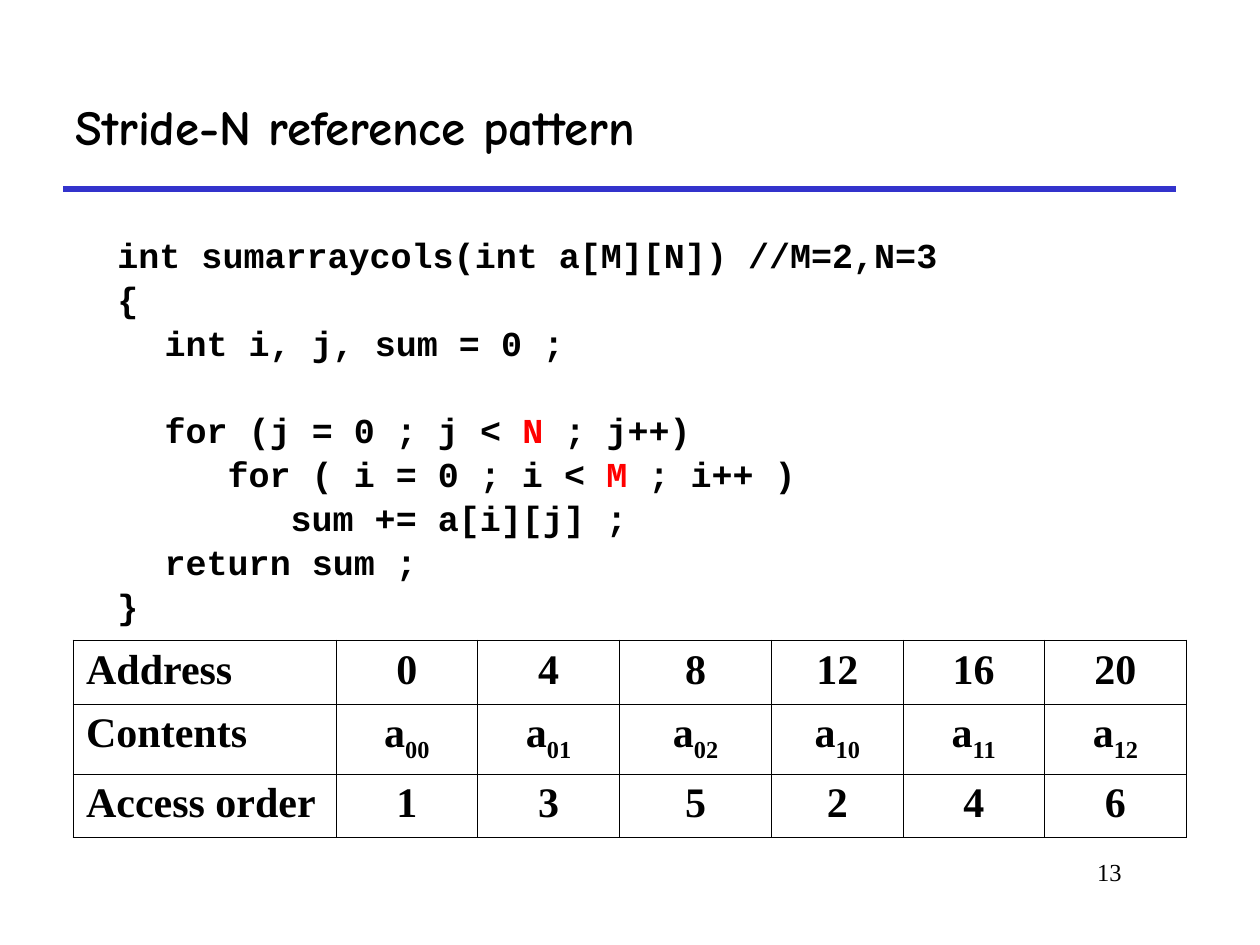
from dataclasses import dataclass

from lxml import etree
from pptx import Presentation
from pptx import util as u
from pptx.dml.color import RGBColor
from pptx.enum import shapes, text
from pptx.oxml.ns import qn

Pt = u.Pt
COLORS = {"ink": "000000", "rule": "3333CC", "bound": "FF0000"}
SERIF, MONO, HAND = "Times New Roman", "Courier New", "Comic Neue"
LEFT, CENTER, RIGHT = (text.PP_ALIGN.LEFT, text.PP_ALIGN.CENTER,
                       text.PP_ALIGN.RIGHT)


@dataclass
class CodeLine:
    before: str
    bound: str = ""
    after: str = ""
    gap: float = 6


@dataclass
class Row:
    label: str
    values: list[str]
    height: float


CODE = [
    CodeLine("int sumarraycols(int a[M][N]) //M=2,N=3", gap=0),
    CodeLine("{"),
    CodeLine("\tint i, j, sum = 0 ;"),
    CodeLine("\tfor (j = 0 ; j < ", "N", " ; j++)", gap=30.2),
    CodeLine("\t\tfor ( i = 0 ; i < ", "M", " ; i++ )"),
    CodeLine("\t\t\tsum += a[i][j] ;"),
    CodeLine("\treturn sum ;"),
    CodeLine("}"),
]
ROWS = [
    Row("Address", [str(4 * k) for k in range(6)], 36.3),
    # An underscore starts the subscript
    Row("Contents", [f"a_{i}{j}" for i in range(2) for j in range(3)], 40),
    Row("Access order", ["1", "3", "5", "2", "4", "6"], 36.3),
]
COLUMNS = [150, 81, 81, 87, 75, 81, 81]


def add_text(p, content: str, *, font: str, size: float, color: str = "ink",
             bold: bool = False, subscript: bool = False) -> None:
    r = p.add_run()
    r.text = content
    r.font.name, r.font.size, r.font.bold = font, Pt(size), bold
    r.font.color.rgb = RGBColor.from_string(COLORS[color])
    if subscript:
        r.font._element.set("baseline", "-25000")


def add_code_line(p, line: CodeLine) -> None:
    p.space_before = Pt(line.gap)
    pPr = p._p.get_or_add_pPr()
    pPr.set("marL", str(Pt(27)))
    pPr.set("indent", str(Pt(-27)))
    tabs = etree.SubElement(pPr, qn("a:tabLst"))
    for k in range(8):
        etree.SubElement(tabs, qn("a:tab"), pos=str(Pt(72 * k)), algn="l")
    parts = [(line.before, "ink"), (line.bound, "bound"), (line.after, "ink")]
    for content, color in parts:
        if content:
            add_text(p, content, font=MONO, size=20, color=color, bold=True)


def set_borders(cell, widths: dict[str, float]) -> None:
    tcPr = cell._tc.get_or_add_tcPr()
    for k, (side, width) in enumerate(widths.items()):
        ln = etree.Element(qn(f"a:{side}"), w=str(Pt(width)))
        fill = etree.SubElement(ln, qn("a:solidFill"))
        etree.SubElement(fill, qn("a:srgbClr"), val=COLORS["ink"])
        tcPr.insert(k, ln)


def add_access_table(slide, rows: list[Row]) -> None:
    frame = slide.shapes.add_table(len(rows), len(COLUMNS), Pt(42), Pt(366),
                                   Pt(sum(COLUMNS)),
                                   Pt(sum(row.height for row in rows)))
    table = frame.table
    table.first_row = table.horz_banding = False
    for column, width in zip(table.columns, COLUMNS):
        column.width = Pt(width)
    inner, outer = 0.45, 1.08
    last_row, last_col = len(rows) - 1, len(COLUMNS) - 1
    for i, row in enumerate(rows):
        table.rows[i].height = Pt(row.height)
        for j, content in enumerate([row.label, *row.values]):
            cell = table.cell(i, j)
            cell.fill.background()
            p = cell.text_frame.paragraphs[0]
            p.alignment = CENTER if j else LEFT
            base, _, sub = content.partition("_")
            add_text(p, base, font=SERIF, size=24, bold=True)
            if sub:
                add_text(p, sub, font=SERIF, size=24, bold=True,
                         subscript=True)
            set_borders(cell, {
                "lnL": inner if j else outer,
                "lnR": outer if j == last_col else inner,
                "lnT": inner if i else outer,
                "lnB": outer if i == last_row else inner,
            })


def main() -> None:
    prs = Presentation()
    prs.slide_width, prs.slide_height = Pt(720), Pt(540)
    slide = prs.slides.add_slide(prs.slide_layouts[5])

    # Title and the rule below it
    sp = slide.shapes.title
    sp.left, sp.top, sp.width, sp.height = Pt(36), Pt(36), Pt(636), Pt(72)
    tf = sp.text_frame
    tf.vertical_anchor = text.MSO_ANCHOR.MIDDLE
    p = tf.paragraphs[0]
    p.alignment = LEFT
    add_text(p, "Stride-N reference pattern", font=HAND, size=28, bold=True)

    rule = slide.shapes.add_connector(shapes.MSO_CONNECTOR.STRAIGHT,
                                      Pt(36), Pt(108), Pt(672), Pt(108))
    rule.line.color.rgb = RGBColor.from_string(COLORS["rule"])
    rule.line.width = Pt(3)
    etree.SubElement(rule._element.spPr, qn("a:effectLst"))

    # Code listing
    sp = slide.shapes.add_textbox(Pt(60), Pt(126), Pt(624), Pt(228))
    tf = sp.text_frame
    tf.word_wrap = True
    tf.margin_top = Pt(7.2)
    for k, line in enumerate(CODE):
        p = tf.add_paragraph() if k else tf.paragraphs[0]
        p.line_spacing = 0.8 if k else 1.0
        add_code_line(p, line)

    # Memory layout and access order
    add_access_table(slide, ROWS)

    # Page number
    sp = slide.shapes.add_textbox(Pt(546), Pt(486), Pt(102), Pt(36))
    tf = sp.text_frame
    tf.word_wrap = True
    p = tf.paragraphs[0]
    p.alignment = RIGHT
    add_text(p, "13", font=SERIF, size=14)

    prs.save("out.pptx")


if __name__ == "__main__":
    main()
